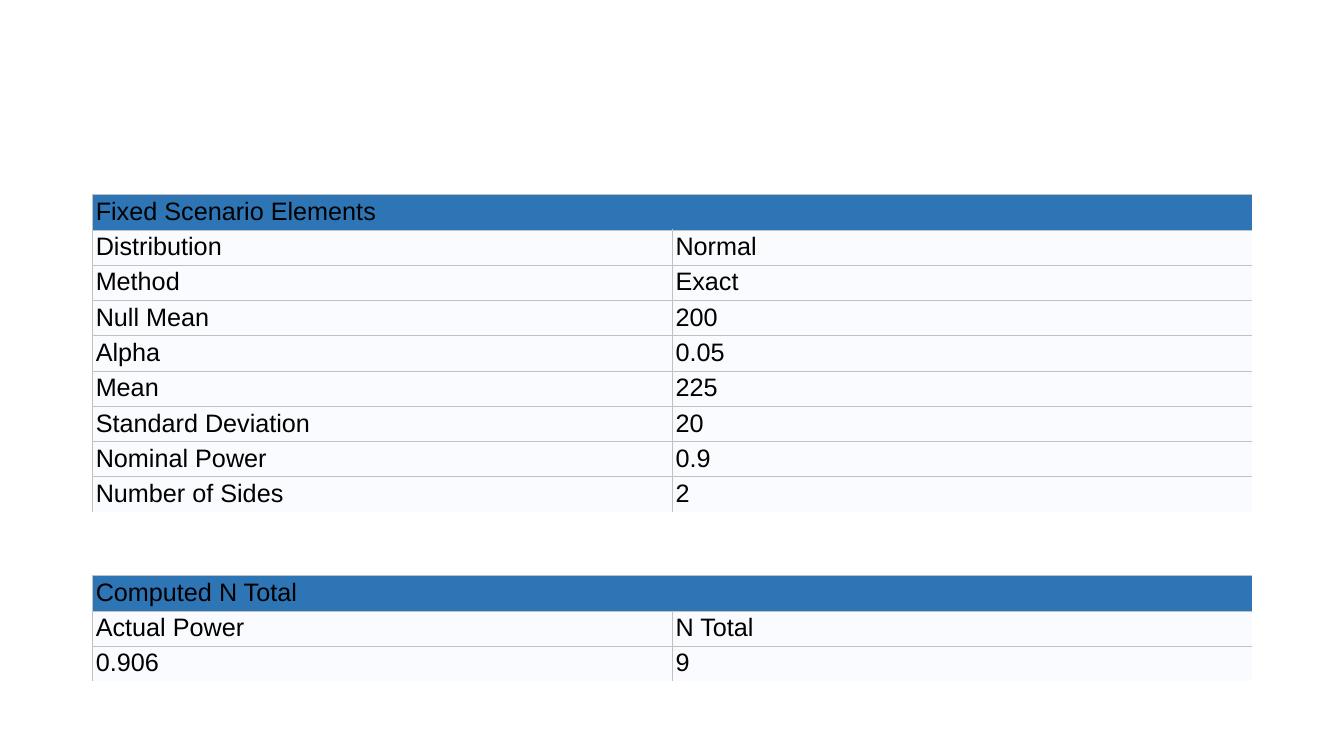
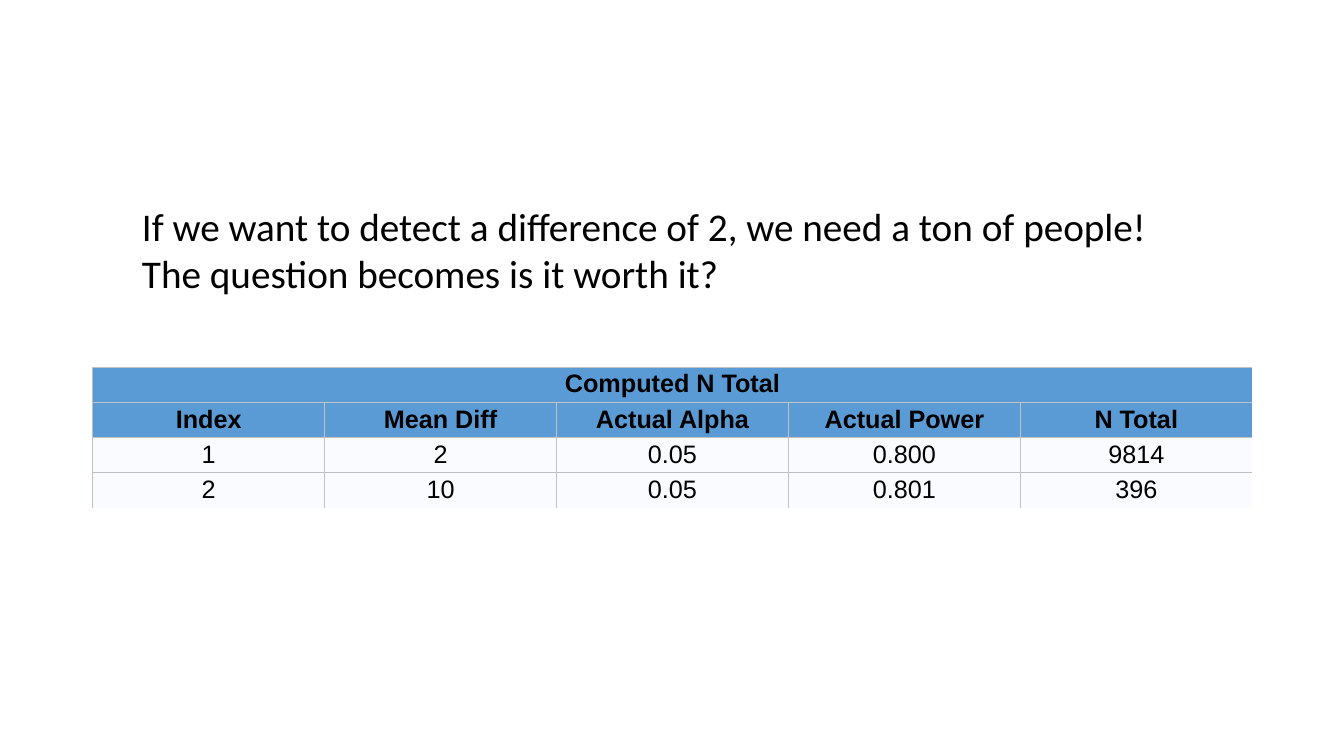
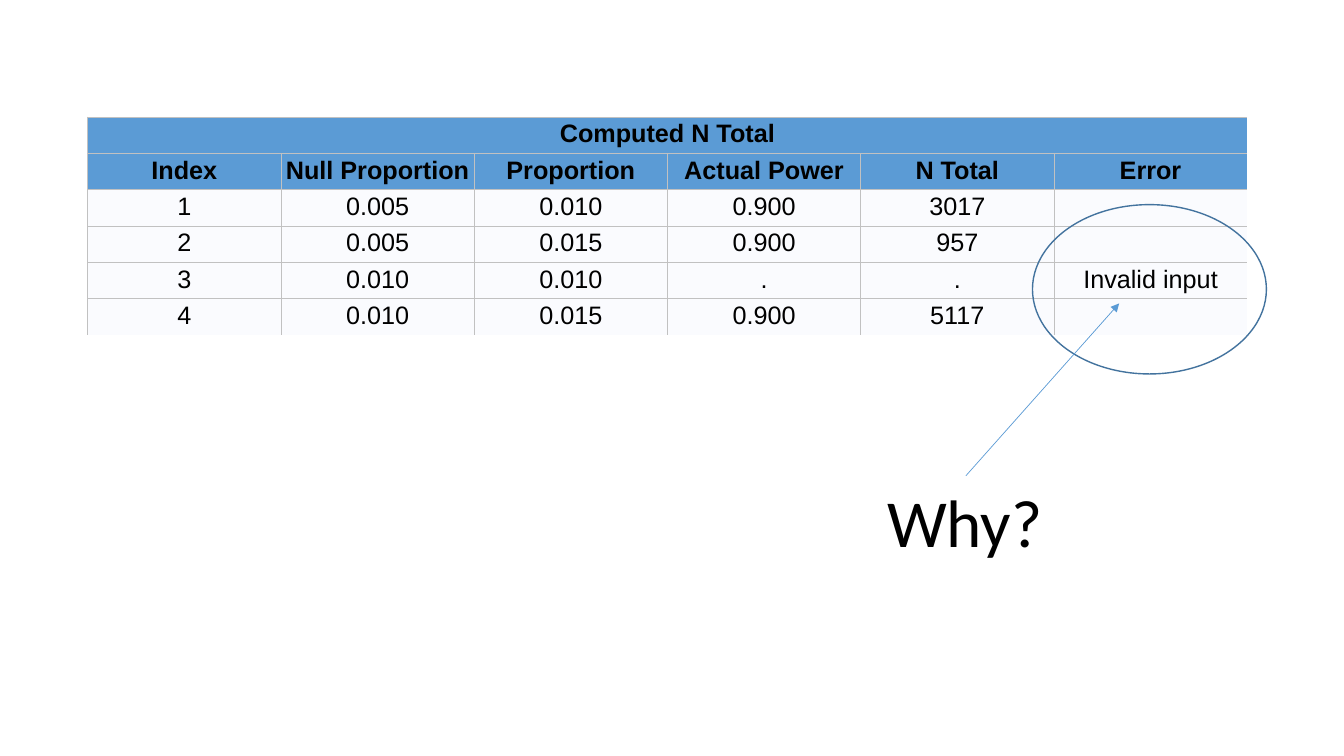
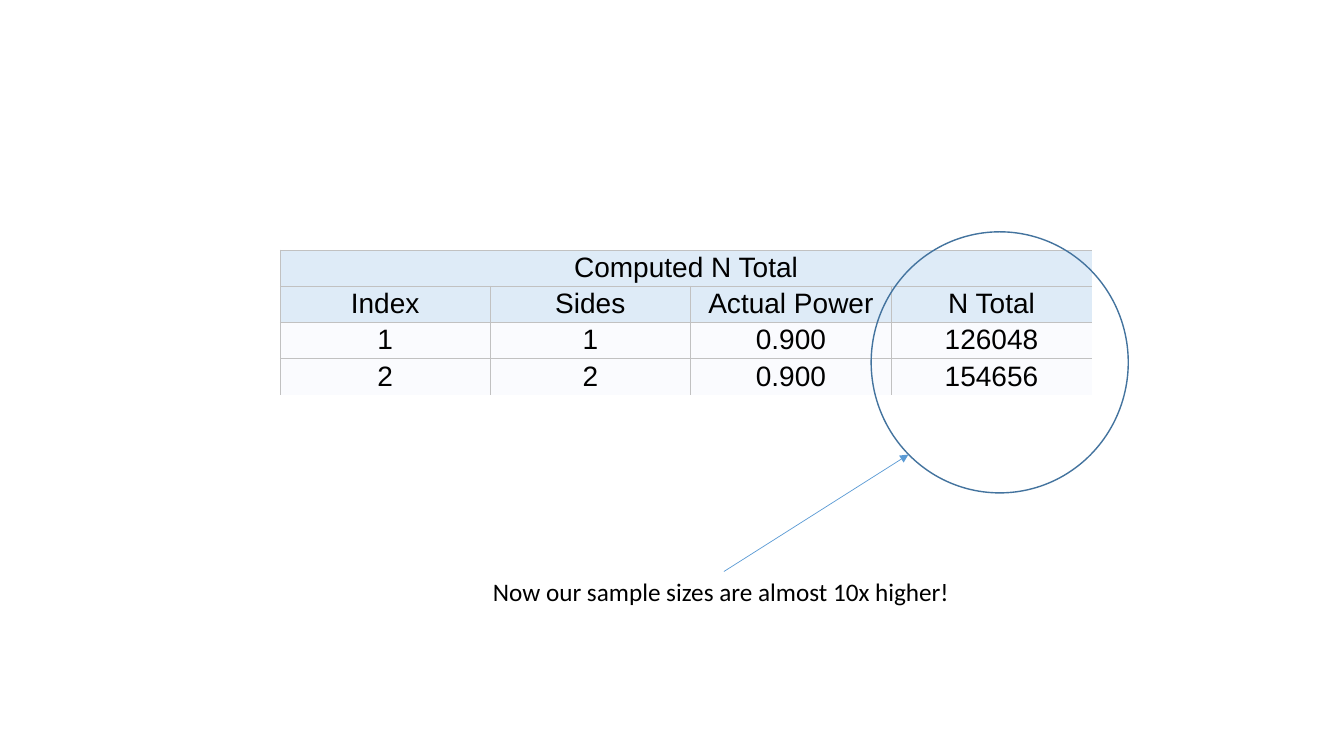
from dataclasses import dataclass

from lxml.etree import SubElement
from pptx import Presentation
from pptx.dml.color import RGBColor
from pptx.enum.shapes import MSO_CONNECTOR, MSO_SHAPE
from pptx.enum.text import MSO_AUTO_SIZE, PP_ALIGN
from pptx.oxml.ns import qn
from pptx.util import Inches, Pt


@dataclass(frozen=True)
class Theme:
    table_font: str = "Arial"
    text_font: str = "Calibri"
    ink: str = "000000"
    body: str = "FAFBFE"
    dark: str = "2E75B6"
    accent: str = "5B9BD5"
    pale: str = "DEEBF7"
    grid: str = "C1C1C1"
    ring: str = "43739E"
    table_size: int = 18
    large_table_size: int = 20
    note_size: int = 18
    text_size: int = 28
    shout_size: int = 48
    hairline: float = 0.5
    ring_width: float = 1


class Deck:
    """Draws power-analysis tables and their callouts on the current slide."""

    def __init__(self, theme):
        self.theme = theme
        self.prs = Presentation()
        self.prs.slide_width = Inches(13.33)
        self.prs.slide_height = Inches(7.5)
        self.s = None

    def slide(self):
        self.s = self.prs.slides.add_slide(self.prs.slide_layouts[6])

    def style(self, p, font, size, bold=False):
        p.font.name = font
        p.font.size = Pt(size)
        p.font.bold = bold
        p.font.color.rgb = RGBColor.from_string(self.theme.ink)

    def borders(self, cell, **visible):
        tc_pr = cell._tc.get_or_add_tcPr()
        for side, shown in visible.items():
            ln = SubElement(tc_pr, qn(f"a:ln{side}"), w=str(Pt(self.theme.hairline)))
            if shown:
                fill = SubElement(ln, qn("a:solidFill"))
                SubElement(fill, qn("a:srgbClr"), val=self.theme.grid)
            else:
                SubElement(ln, qn("a:noFill"))

    def table(self, x, y, widths, title, rows, head, head_rows=2, bold=True,
              align=PP_ALIGN.CENTER, size=None, row_height=0.35, inset=0.03):
        size = size or self.theme.table_size
        n_rows, n_cols = len(rows) + 1, len(widths)
        frame = self.s.shapes.add_table(
            n_rows, n_cols, Inches(x), Inches(y),
            Inches(sum(widths)), Inches(row_height * n_rows))
        tbl = frame.table
        tbl.first_row = tbl.horz_banding = False
        for col, width in zip(tbl.columns, widths):
            col.width = Inches(width)
        tbl.cell(0, 0).merge(tbl.cell(0, n_cols - 1))
        for i, values in enumerate([[title], *rows]):
            tbl.rows[i].height = Inches(row_height)
            for j, value in enumerate(values):
                cell = tbl.cell(i, j)
                cell.margin_left = cell.margin_right = Inches(inset)
                cell.margin_top = cell.margin_bottom = Inches(inset)
                is_head = i < head_rows
                self.borders(cell, L=True, R=j < len(values) - 1,
                             T=True, B=i < n_rows - 1)
                cell.fill.solid()
                cell.fill.fore_color.rgb = RGBColor.from_string(
                    head if is_head else self.theme.body)
                cell.text = value
                p = cell.text_frame.paragraphs[0]
                p.alignment = align
                self.style(p, self.theme.table_font, size, bold and is_head)

    def text(self, x, y, w, h, lines, size):
        sp = self.s.shapes.add_textbox(Inches(x), Inches(y), Inches(w), Inches(h))
        tf = sp.text_frame
        tf.word_wrap = False
        tf.auto_size = MSO_AUTO_SIZE.SHAPE_TO_FIT_TEXT
        tf.text = "\n".join(lines)
        for p in tf.paragraphs:
            self.style(p, self.theme.text_font, size)
        return sp

    def ring(self, x, y, w, h):
        sp = self.s.shapes.add_shape(
            MSO_SHAPE.OVAL, Inches(x), Inches(y), Inches(w), Inches(h))
        sp.shadow.inherit = False
        sp.fill.background()
        sp.line.color.rgb = RGBColor.from_string(self.theme.ring)
        sp.line.width = Pt(self.theme.ring_width)

    def arrow(self, label, x, y):
        cxn = self.s.shapes.add_connector(
            MSO_CONNECTOR.STRAIGHT, label.left, label.top, Inches(x), Inches(y))
        cxn.begin_connect(label, 0)
        cxn.line.color.rgb = RGBColor.from_string(self.theme.accent)
        cxn.line.width = Pt(self.theme.hairline)
        SubElement(cxn.line._get_or_add_ln(), qn("a:tailEnd"), type="triangle")
        SubElement(cxn._element.spPr, qn("a:effectLst"))


def main():
    theme = Theme()
    deck = Deck(theme)
    total = "Computed N Total"

    deck.slide()
    plain = dict(head=theme.dark, head_rows=1, bold=False, align=PP_ALIGN.LEFT)
    deck.table(0.92, 1.93, [5.75] * 2, "Fixed Scenario Elements", [
        ["Distribution", "Normal"],
        ["Method", "Exact"],
        ["Null Mean", "200"],
        ["Alpha", "0.05"],
        ["Mean", "225"],
        ["Standard Deviation", "20"],
        ["Nominal Power", "0.9"],
        ["Number of Sides", "2"],
    ], **plain)
    deck.table(0.92, 5.71, [5.75] * 2, total, [
        ["Actual Power", "N Total"],
        ["0.906", "9"],
    ], **plain)

    deck.slide()
    deck.table(0.92, 3.64, [2.3] * 5, total, [
        ["Index", "Mean Diff", "Actual Alpha", "Actual Power", "N Total"],
        ["1", "2", "0.05", "0.800", "9814"],
        ["2", "10", "0.05", "0.801", "396"],
    ], theme.accent)
    deck.text(1.31, 1.96, 10.27, 1.04, [
        "If we want to detect a difference of 2, we need a ton of people!",
        "The question becomes is it worth it?",
    ], theme.text_size)

    deck.slide()
    deck.table(0.87, 1.16, [11.5 / 6] * 6, total, [
        ["Index", "Null Proportion", "Proportion", "Actual Power", "N Total", "Error"],
        ["1", "0.005", "0.010", "0.900", "3017", ""],
        ["2", "0.005", "0.015", "0.900", "957", ""],
        ["3", "0.010", "0.010", ".", ".", "Invalid input"],
        ["4", "0.010", "0.015", "0.900", "5117", ""],
    ], theme.accent)
    deck.ring(10.24, 2.03, 2.32, 1.68)
    why = deck.text(8.7, 4.72, 1.76, 0.91, ["Why?"], theme.shout_size)
    deck.arrow(why, 11.1, 3.01)

    deck.slide()
    deck.table(2.78, 2.48, [2.08] + [1.99] * 3, total, [
        ["Index", "Sides", "Actual Power", "N Total"],
        ["1", "1", "0.900", "126048"],
        ["2", "2", "0.900", "154656"],
    ], theme.pale, bold=False, size=theme.large_table_size,
        row_height=0.36, inset=0.02)
    deck.ring(8.64, 2.3, 2.55, 2.59)
    note = deck.text(4.79, 5.67, 4.78, 0.4,
                     ["Now our sample sizes are almost 10x higher!"], theme.note_size)
    deck.arrow(note, 9.01, 4.51)

    deck.prs.save("out.pptx")


if __name__ == "__main__":
    main()
